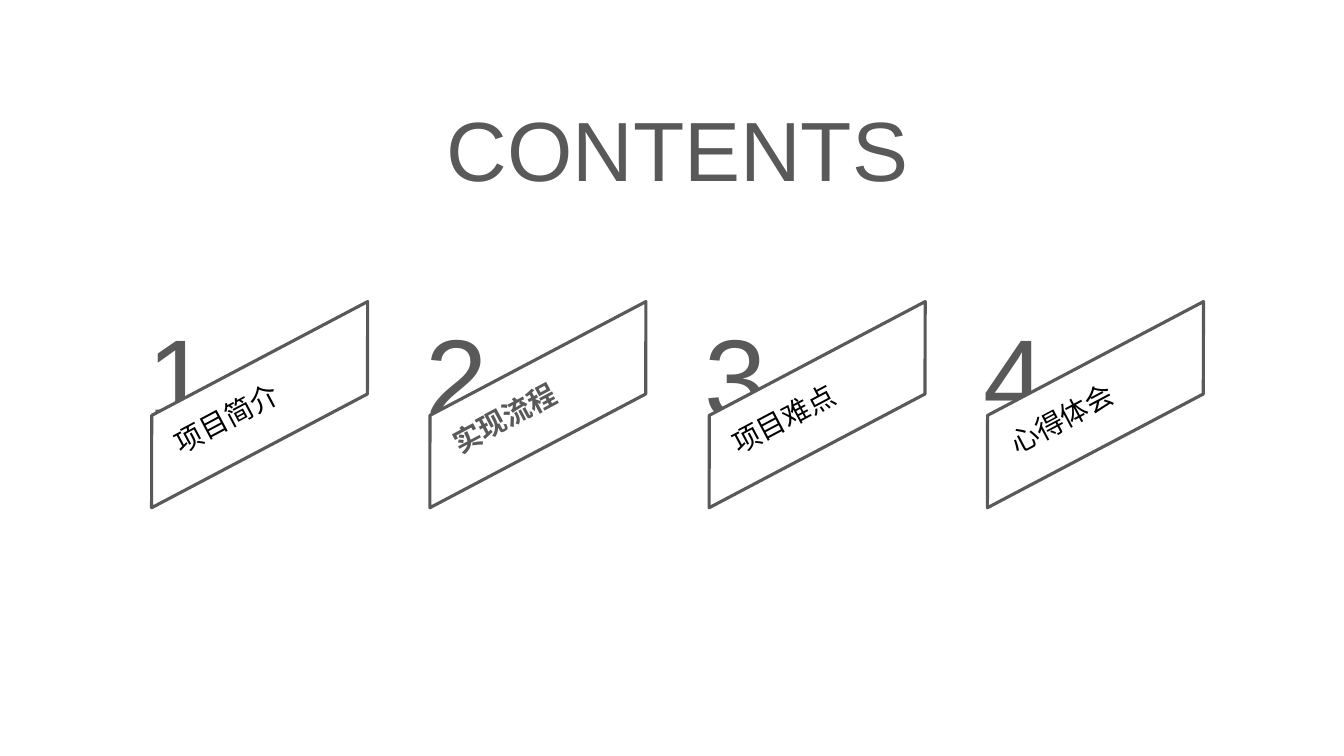
from dataclasses import dataclass

from pptx import Presentation
from pptx.dml.color import RGBColor
from pptx.enum.shapes import MSO_SHAPE
from pptx.enum.text import MSO_ANCHOR, MSO_AUTO_SIZE, PP_ALIGN
from pptx.shapes.autoshape import Shape
from pptx.slide import Slide
from pptx.util import Emu, Pt

EMU_PER_PX = 9144
GREY = "595959"
BLACK = "000000"
WHITE = "FFFFFF"
FONT = "Arial"
FIRST_LEFT = 119
COLUMNS_SPAN = 829


@dataclass(frozen=True)
class Chapter:
    title: str
    label_top: int
    label_width: int
    current: bool = False


CHAPTERS = [
    Chapter("项目简介", 377, 199),
    Chapter("实现流程", 377, 199, current=True),
    Chapter("项目难点", 379, 194),
    Chapter("心得体会", 379, 192),
]


def px(length: int) -> Emu:
    return Emu(length * EMU_PER_PX)


def color(value: str) -> RGBColor:
    return RGBColor.from_string(value)


def write_text(shape: Shape, text: str, size: int, text_color: str,
               alignment: PP_ALIGN, bold: bool = False) -> None:
    frame = shape.text_frame
    frame.word_wrap = True
    frame.auto_size = MSO_AUTO_SIZE.SHAPE_TO_FIT_TEXT
    frame.vertical_anchor = MSO_ANCHOR.TOP
    paragraph = frame.paragraphs[0]
    paragraph.alignment = alignment
    run = paragraph.add_run()
    run.text = text
    run.font.name = FONT
    run.font.size = Pt(size)
    run.font.bold = bold
    run.font.color.rgb = color(text_color)


def add_title(slide: Slide) -> None:
    title = slide.shapes.title
    title.left, title.top, title.width, title.height = px(383), px(92), px(578), px(111)
    write_text(title, "CONTENTS", 60, GREY, PP_ALIGN.CENTER)


def add_banner(slide: Slide, left: int) -> None:
    banner = slide.shapes.add_shape(
        MSO_SHAPE.PARALLELOGRAM, px(left), px(361), px(285), px(81))
    banner.adjustments[0] = 0.53
    banner.rotation = 332.2
    banner.shadow.inherit = False
    banner.fill.solid()
    banner.fill.fore_color.rgb = color(WHITE)
    banner.line.color.rgb = color(GREY)
    banner.line.width = Pt(2.25)


def add_chapter(slide: Slide, number: int, left: int, chapter: Chapter) -> None:
    number_box = slide.shapes.add_textbox(px(left), px(299), px(116), px(145))
    write_text(number_box, str(number), 80, GREY, PP_ALIGN.CENTER)
    add_banner(slide, left - 4)
    label = slide.shapes.add_textbox(
        px(left + 36), px(chapter.label_top), px(chapter.label_width), px(44))
    label.rotation = 332
    write_text(label, chapter.title, 20, GREY if chapter.current else BLACK,
               PP_ALIGN.JUSTIFY, chapter.current)


def main() -> None:
    presentation = Presentation()
    presentation.slide_width = px(1333)
    presentation.slide_height = px(750)
    slide = presentation.slides.add_slide(presentation.slide_layouts[5])
    add_title(slide)
    for index, chapter in enumerate(CHAPTERS):
        left = FIRST_LEFT + round(COLUMNS_SPAN * index / (len(CHAPTERS) - 1))
        add_chapter(slide, index + 1, left, chapter)
    presentation.save("out.pptx")


if __name__ == "__main__":
    main()
